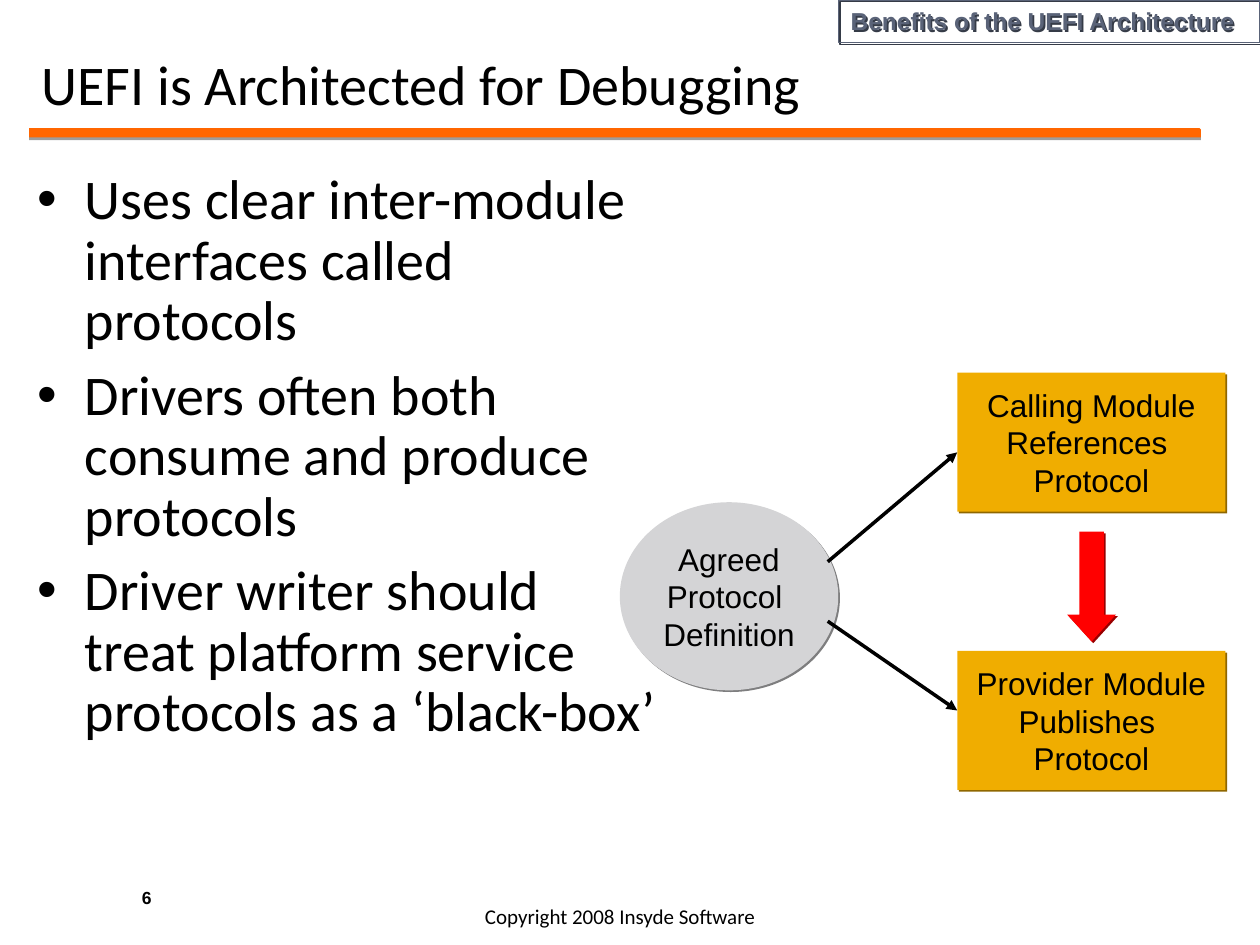
from pptx import Presentation
from pptx.util import Pt
from pptx.dml.color import RGBColor
from pptx.enum.shapes import MSO_SHAPE as SHAPE, MSO_CONNECTOR as CONN
from pptx.enum.text import MSO_ANCHOR as ANCHOR, MSO_AUTO_SIZE as FIT, PP_ALIGN as ALIGN
from pptx.oxml import parse_xml
from pptx.oxml.ns import nsdecls, qn
from lxml.etree import SubElement

BLACK = "000000"
SLATE = "5A6378"
AMBER, AMBER_SHADE = "F0AD00", "8F6700"
LABEL = {"name": "Arial", "size": Pt(18)}


def rgb(value):
    """Turn a hex string into a colour."""
    return RGBColor.from_string(value)


def set_attrs(obj, values):
    """Set each attribute of obj from a dict."""
    for key, value in values.items():
        setattr(obj, key, value)


def place(s, box):
    """Move and size a shape to a box in points."""
    set_attrs(s, dict(zip(("left", "top", "width", "height"), map(Pt, box))))


def write(s, lines, font, color=BLACK, para=None, frame=None, bullet=False):
    """Write formatted paragraphs into a shape."""
    tf = s.text_frame
    set_attrs(tf, {"auto_size": FIT.NONE, "word_wrap": True, **(frame or {})})
    for i, line in enumerate(lines):
        p = tf.add_paragraph() if i else tf.paragraphs[0]
        set_attrs(p, {"alignment": ALIGN.LEFT, **(para or {})})
        if i == 0:
            p.space_before = Pt(0)
        if bullet:
            add_bullet(p)
        r = p.add_run()
        r.text = line
        set_attrs(r.font, font)
        r.font.color.rgb = rgb(color)


def add_bullet(p):
    """Give a paragraph a hanging round bullet."""
    pPr = p._p.get_or_add_pPr()
    pPr.set("marL", str(Pt(27)))
    pPr.set("indent", str(-Pt(27)))
    SubElement(pPr, qn("a:buFont")).set("typeface", "Arial")
    SubElement(pPr, qn("a:buChar")).set("char", "•")


def add_shadow(s, color, dist=1.4, angle=45, alpha=100):
    """Give a shape a hard offset shadow."""
    s._element.spPr.append(parse_xml(
        f'<a:effectLst {nsdecls("a")}><a:outerShdw blurRad="0" dist="{Pt(dist)}" '
        f'dir="{angle * 60000}" algn="ctr" rotWithShape="0"><a:srgbClr val="{color}">'
        f'<a:alpha val="{alpha * 1000}"/></a:srgbClr></a:outerShdw></a:effectLst>'))


def add_text(slide, box, lines, font, **kwargs):
    """Add a text box."""
    s = slide.shapes.add_textbox(*map(Pt, box))
    write(s, lines, font, **kwargs)


def add_block(slide, kind, box, fill, shadow, line=None, adjust=(), **effect):
    """Add a preset shape with a hard shadow."""
    s = slide.shapes.add_shape(kind, *map(Pt, box))
    for i, value in enumerate(adjust):
        s.adjustments[i] = value
    if fill:
        s.fill.solid()
        s.fill.fore_color.rgb = rgb(fill)
    else:
        s.fill.background()
    if line:
        s.line.color.rgb = rgb(line)
        s.line.width = Pt(0.75)
    else:
        s.line.fill.background()
    add_shadow(s, shadow, **effect)
    return s


def add_node(slide, kind, box, fill, shadow, lines):
    """Add a labelled diagram node."""
    s = add_block(slide, kind, box, fill, shadow)
    write(s, lines, LABEL, para={"alignment": ALIGN.CENTER},
          frame={"word_wrap": False, "vertical_anchor": ANCHOR.MIDDLE})


def add_arrow(slide, start, end):
    """Add a straight arrow between two points."""
    s = slide.shapes.add_connector(CONN.STRAIGHT, *map(Pt, start + end))
    s.line.color.rgb = rgb(BLACK)
    s.line.width = Pt(2)
    SubElement(s.line._get_or_add_ln(), qn("a:tailEnd")).set("type", "triangle")
    SubElement(s._element.spPr, qn("a:effectLst"))


def add_title(slide, text):
    """Place and format the title over its rule."""
    s = slide.shapes.title
    place(s, (16.6, 21.6, 667.4, 51.8))
    write(s, [text], {"name": "Calibri", "size": Pt(32)},
          frame={"vertical_anchor": ANCHOR.MIDDLE})
    add_block(slide, SHAPE.SNIP_1_RECTANGLE, (16.6, 73.2, 669.6, 5.3), "FF6600", BLACK,
              adjust=[0.16], dist=1.6, angle=90, alpha=38)


def add_diagram(slide):
    """Draw the protocol definition and the two modules that use it."""
    modules = ((213, ["Calling Module", "References ", "Protocol"], 321, 258.5),
               (372, ["Provider Module", "Publishes ", "Protocol"], 355, 406))
    for top, lines, _, _ in modules:
        add_node(slide, SHAPE.RECTANGLE, (547, top, 153.2, 79.4), AMBER, AMBER_SHADE, lines)
    add_block(slide, SHAPE.DOWN_ARROW, (609.8, 303.8, 28, 62.8), "FF0000", "980000",
              adjust=[0.5, 0.55])
    add_node(slide, SHAPE.OVAL, (354.2, 287, 124.8, 107.5), "D4D4D6", "7E7E7F",
             ["Agreed", "Protocol ", "Definition"])
    for _, _, start, end in modules:
        add_arrow(slide, (473, start), (547, end))


def main():
    """Build and save the slide."""
    prs = Presentation()
    set_attrs(prs, {"slide_width": Pt(720), "slide_height": Pt(540)})
    slide = prs.slides.add_slide(prs.slide_layouts[5])
    add_title(slide, "UEFI is Architected for Debugging")
    add_text(slide, (270, 512.6, 169.2, 21.6), ["Copyright 2008 Insyde Software"],
             {"name": "Calibri", "size": Pt(12)}, frame={"word_wrap": False})
    add_text(slide, (0, 485.3, 167.8, 37.4), ["6"],
             {"name": "Arial", "size": Pt(10), "bold": True},
             para={"alignment": ALIGN.CENTER}, frame={"vertical_anchor": ANCHOR.BOTTOM})
    add_text(slide, (14.4, 94.3, 371.5, 424),
             ["Uses clear inter-module interfaces called protocols",
              "Drivers often both consume and produce protocols",
              "Driver writer should treat platform service protocols as a ‘black-box’"],
             {"name": "Calibri", "size": Pt(32)}, bullet=True,
             para={"line_spacing": 0.9, "space_before": Pt(8)})
    add_diagram(slide)
    tag = add_block(slide, SHAPE.RECTANGLE, (479, 0, 241, 24.5), None, "353B47", line=SLATE)
    write(tag, ["Benefits of the UEFI Architecture"],
          {"name": "Arial", "size": Pt(14), "bold": True}, color=SLATE,
          frame={"vertical_anchor": ANCHOR.TOP})
    prs.save("out.pptx")


if __name__ == "__main__":
    main()
